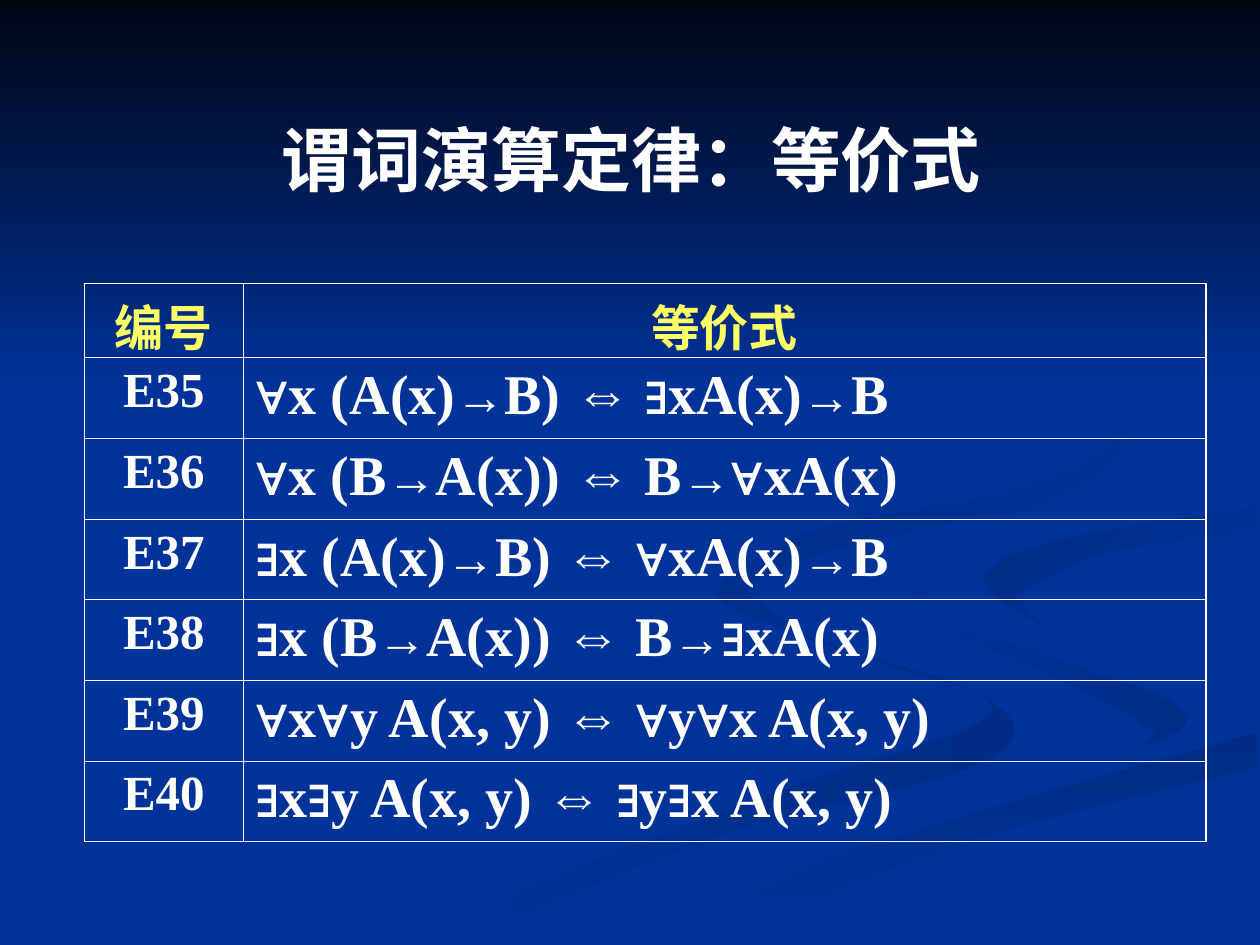
from dataclasses import dataclass
from itertools import groupby

from lxml import etree
from pptx import Presentation
from pptx import util as u
from pptx.dml.color import RGBColor
from pptx.enum import shapes, text
from pptx.oxml import ns

Inches = u.Inches


@dataclass(frozen=True)
class Theme:
    blue: str = "003399"
    deep_blue: str = "002C85"
    night: str = "000514"
    white: str = "FFFFFF"
    yellow: str = "FFFF66"
    font: str = "Times New Roman"
    symbol_font: str = "Arial"
    title_size: int = 40
    formula_size: int = 32
    label_size: int = 28
    outer_line: float = 1.08
    inner_line: float = 0.45


THEME = Theme()

# Swirl ribbons: smooth edges that meet in corners, gradient colours, angle
SWIRLS = [
    ([[(5.75, 4.59), (5.81, 4.83), (6.97, 5.25), (7.86, 5.66), (6.16, 6.29), (3, 7.49)],
      [(3.61, 7.49), (5.64, 6.65), (7.8, 6.05), (7.86, 5.56), (6.42, 5.07)]],
     THEME.deep_blue, THEME.blue, 180),
    ([[(7.24, 4.64), (7.58, 4.98), (8.7, 5.3), (9.43, 5.7), (8.94, 6.05)],
      [(9.18, 5.81), (8.38, 5.36), (7.46, 5)]],
     THEME.deep_blue, THEME.blue, 225),
    ([[(5.03, 7.49), (6.96, 6.69), (9.98, 5.81)],
      [(9.98, 6.09), (7.52, 6.72), (5.71, 7.49)]],
     THEME.deep_blue, THEME.blue, 90),
    ([[(9.99, 3.87), (8.3, 4.15), (7.25, 4.64), (8.31, 5.19), (9.43, 5.7), (8.13, 6.25),
       (4.77, 7.49)],
      [(5.03, 7.49), (6.96, 6.69), (9.99, 5.81)],
      [(9.99, 5.38), (8.32, 4.98), (7.81, 4.6), (8.65, 4.24), (9.99, 4.02)]],
     THEME.blue, THEME.blue, 0),
    ([[(9.98, 4.02), (8.35, 4.3), (7.81, 4.6), (8.26, 4.96)],
      [(8.05, 4.72), (8.78, 4.39), (9.98, 4.2)]],
     THEME.blue, THEME.deep_blue, 225),
    ([[(7.62, 2.33), (8.54, 2.83), (8.94, 3.44), (8.41, 3.96), (6.83, 4.3), (5.94, 4.65),
       (6.22, 5)],
      [(5.77, 4.62), (6.49, 4.2), (8.18, 3.86), (8.89, 3.35), (8.46, 2.79)]],
     THEME.blue, THEME.deep_blue, 225),
]

TITLE = "谓词演算定律：等价式"
HEADINGS = ("编号", "等价式")
LAWS = [
    ("E35", "∀x (A(x)→B) ⇔ ∃xA(x)→B"),
    ("E36", "∀x (B→A(x)) ⇔ B→∀xA(x)"),
    ("E37", "∃x (A(x)→B) ⇔ ∀xA(x)→B"),
    ("E38", "∃x (B→A(x)) ⇔ B→∃xA(x)"),
    ("E39", "∀x∀y A(x, y) ⇔ ∀y∀x A(x, y)"),
    ("E40", "∃x∃y A(x, y) ⇔ ∃y∃x A(x, y)"),
]


def rgb(color):
    return RGBColor.from_string(color)


def style(font, size, color=THEME.white, name=THEME.font):
    font.size, font.bold, font.name = u.Pt(size), True, name
    font.color.rgb = rgb(color)


def smooth_edge(knots, steps=8):
    """Catmull-Rom curve through the knots."""
    padded = [knots[0], *knots, knots[-1]]
    curve = []
    for quad in zip(padded, padded[1:], padded[2:], padded[3:]):
        for t in (step / steps for step in range(steps)):
            curve.append([
                b + t / 2 * (c - a + t * (2 * a - 5 * b + 4 * c - d
                                          + t * (3 * (b - c) + d - a)))
                for a, b, c, d in zip(*quad)])
    return curve + [knots[-1]]


def paint(shape, start, end, angle):
    shape.shadow.inherit = False
    shape.line.fill.background()
    if start == end:
        shape.fill.solid()
        shape.fill.fore_color.rgb = rgb(start)
        return
    shape.fill.gradient()
    shape.fill.gradient_angle = 360 - angle
    for stop, color in zip(shape.fill.gradient_stops, (start, end)):
        stop.color.rgb = rgb(color)


def add_backdrop(slide, box):
    left, top, width, _ = box
    slide.background.fill.solid()
    slide.background.fill.fore_color.rgb = rgb(THEME.blue)
    # Swirls
    for edges, *colors in SWIRLS:
        outline = [(left + Inches(x), top + Inches(y))
                   for edge in edges for x, y in smooth_edge(edge)]
        builder = slide.shapes.build_freeform(*outline[0])
        builder.add_line_segments(outline[1:], close=True)
        paint(builder.convert_to_shape(), *colors)
    # Dark sky fading into the blue
    sky = slide.shapes.add_shape(shapes.MSO_SHAPE.RECTANGLE, left, top, width, Inches(3.08))
    paint(sky, THEME.night, THEME.blue, 90)


def add_title(slide, box):
    frame = slide.shapes.add_textbox(*box).text_frame
    frame.word_wrap = True
    frame.vertical_anchor = text.MSO_ANCHOR.MIDDLE
    frame.text = TITLE
    frame.paragraphs[0].alignment = text.PP_ALIGN.CENTER
    style(frame.paragraphs[0].runs[0].font, THEME.title_size)


def set_borders(cell, outer_sides):
    properties = cell._tc.get_or_add_tcPr()
    for index, side in enumerate("LRTB"):
        width = THEME.outer_line if side in outer_sides else THEME.inner_line
        line = etree.Element(ns.qn(f"a:ln{side}"), w=str(int(u.Pt(width))))
        fill = etree.SubElement(line, ns.qn("a:solidFill"))
        etree.SubElement(fill, ns.qn("a:srgbClr"), val=THEME.white)
        properties.insert(index, line)


def write_label(cell, label, color):
    cell.text_frame.text = label
    paragraph = cell.text_frame.paragraphs[0]
    paragraph.alignment = text.PP_ALIGN.CENTER
    style(paragraph.runs[0].font, THEME.label_size, color)


def write_formula(cell, formula):
    paragraph = cell.text_frame.paragraphs[0]
    for symbol, letters in groupby(formula, lambda c: c if c in "→⇔" else ""):
        run = paragraph.add_run()
        run.text = "".join(letters)
        style(run.font, THEME.label_size if symbol == "→" else THEME.formula_size,
              name=THEME.symbol_font if symbol == "⇔" else THEME.font)


def add_law_table(slide, box):
    rows = [HEADINGS, *LAWS]
    table = slide.shapes.add_table(len(rows), 2, *box).table
    table.first_row = table.horz_banding = False
    table.columns[0].width = Inches(1.26)
    table.columns[1].width = box[2] - Inches(1.26)
    for r, row in enumerate(rows):
        table.rows[r].height = Inches(0.64 if r else 0.59)
        for c, content in enumerate(row):
            cell = table.cell(r, c)
            if r and c:
                write_formula(cell, content)
            else:
                write_label(cell, content, THEME.white if r else THEME.yellow)
            cell.fill.background()
            edges = "LR"[c] + ("T" if r == 0 else "B" if r == len(LAWS) else "")
            set_borders(cell, edges)


def main():
    deck = Presentation()
    deck.slide_width, deck.slide_height = Inches(10), Inches(7.5)
    slide = deck.slides.add_slide(deck.slide_layouts[6])
    add_backdrop(slide, (0, 0, deck.slide_width, deck.slide_height))
    add_title(slide, (Inches(0.51), Inches(0.91), Inches(9), Inches(0.69)))
    add_law_table(slide, (Inches(0.67), Inches(2.25), Inches(8.9), Inches(4.43)))
    deck.save("out.pptx")


if __name__ == "__main__":
    main()
